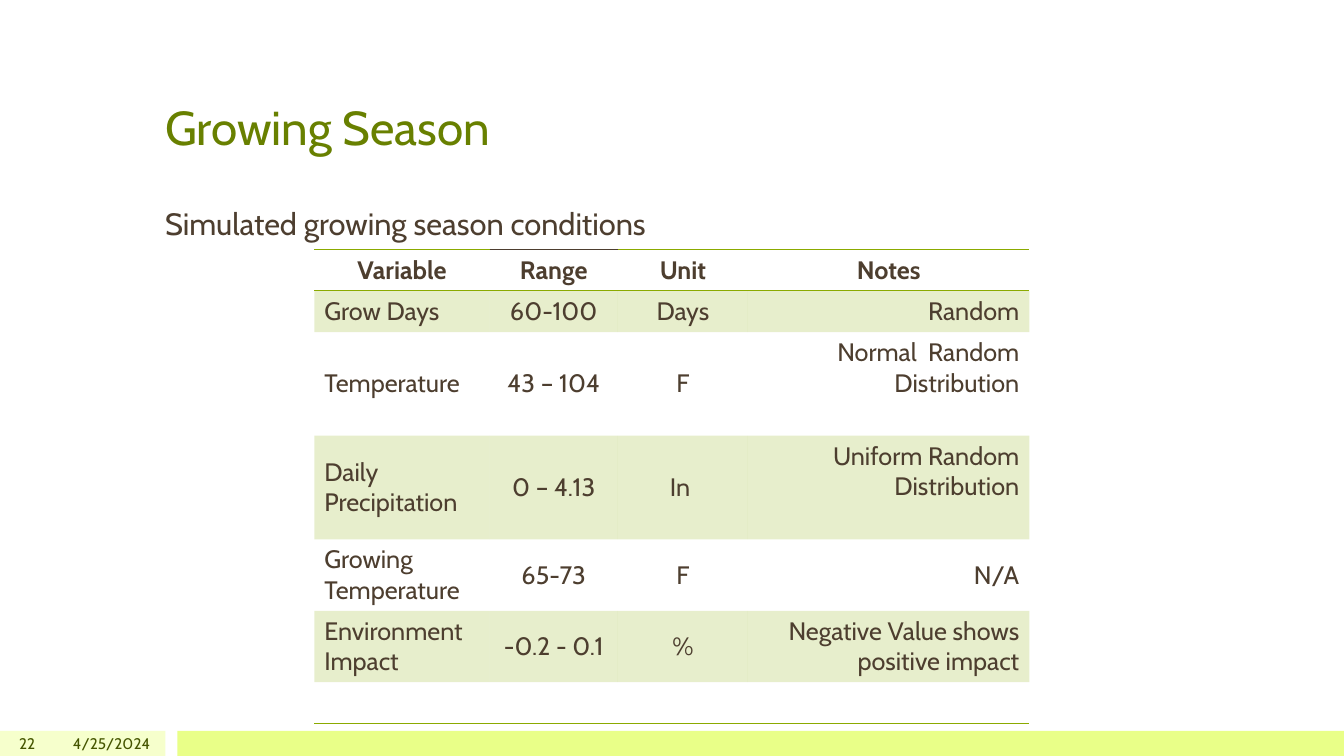
from lxml.etree import SubElement
from pptx import Presentation
from pptx.dml.color import RGBColor
from pptx.enum.shapes import MSO_SHAPE
from pptx.enum.text import MSO_ANCHOR, PP_ALIGN
from pptx.oxml.ns import qn
from pptx.util import Cm, Pt

HUES = {"title": "688000", "text": "4D3E2F", "foot": "455500",
        "pale": "F6FFCC", "lime": "E9FF88", "green": "8BAA00"}
LEFT, MID, RIGHT = PP_ALIGN.LEFT, PP_ALIGN.CENTER, PP_ALIGN.RIGHT


def style(frame, size, hue, align=LEFT, bold=False):
    for para in frame.paragraphs:
        para.alignment = align
        for run in para.runs:
            run.font.name = "Cabin"
            run.font.size = Pt(size)
            run.font.bold = bold
            run.font.color.rgb = RGBColor.from_string(HUES[hue])


def rule(cell, side, hue):
    line = SubElement(cell._tc.get_or_add_tcPr(), qn("a:" + side), w=str(Pt(1)))
    fill = SubElement(line, qn("a:solidFill"))
    SubElement(fill, qn("a:srgbClr"), val=HUES[hue])


deck = Presentation()
deck.slide_width, deck.slide_height = Cm(33.87), Cm(19.05)
slide = deck.slides.add_slide(deck.slide_layouts[6])

for left, width, hue in [(0, 4.17, "pale"), (4.47, 29.4, "lime")]:
    bar = slide.shapes.add_shape(MSO_SHAPE.RECTANGLE, Cm(left), Cm(18.42), Cm(width), Cm(0.63))
    bar.shadow.inherit = False
    bar.fill.solid()
    bar.fill.fore_color.rgb = RGBColor.from_string(HUES[hue])
    bar.line.fill.background()

TOP, CENTRE, BASE = MSO_ANCHOR.TOP, MSO_ANCHOR.MIDDLE, MSO_ANCHOR.BOTTOM
texts = [
    ("Growing Season", 3.91, 0.76, 26.04, 3.28, 34, "title", LEFT, BASE),
    ("Simulated growing season conditions", 3.91, 5.13, 26.04, 1.15, 22, "text", LEFT, TOP),
    ("22", 0, 18.42, 1.14, 0.63, 11, "foot", RIGHT, CENTRE),
    ("4/25/2024", 1.27, 18.42, 2.77, 0.63, 11, "foot", RIGHT, CENTRE),
]
for words, left, top, width, height, size, hue, align, anchor in texts:
    box = slide.shapes.add_textbox(Cm(left), Cm(top), Cm(width), Cm(height))
    frame = box.text_frame
    frame.word_wrap = True
    frame.vertical_anchor = anchor
    frame.text = words
    style(frame, size, hue, align)
    if hue == "text":
        frame.paragraphs[0].line_spacing = 0.9

rows = [
    ("Variable", "Range", "Unit", "Notes"),
    ("Grow Days", "60-100", "Days", "Random"),
    ("Temperature", "43 – 104", "F", "Normal  Random Distribution"),
    ("Daily Precipitation", "0 – 4.13", "In ", "Uniform Random Distribution"),
    ("Growing Temperature", "65-73", "F", "N/A"),
    ("Environment Impact", "-0.2 - 0.1", "%", "Negative Value shows positive impact"),
    ("", "", "", ""),
]
widths = [4.42, 3.23, 3.28, 7.09]
heights = [1.04, 1.04, 2.61, 2.61, 1.8, 1.8, 1.04]
last = len(rows) - 1

table = slide.shapes.add_table(len(rows), len(widths), Cm(7.92), Cm(6.29),
                               Cm(sum(widths)), Cm(sum(heights))).table
table.first_row = table.horz_banding = False
table._tbl.tblPr.find(qn("a:tableStyleId")).text = "{2D5ABB26-0587-4C30-8999-92F81FD0307C}"
for col, width in zip(table.columns, widths):
    col.width = Cm(width)

for r, row in enumerate(rows):
    table.rows[r].height = Cm(heights[r])
    for c, words in enumerate(row):
        cell = table.cell(r, c)
        cell.text = words
        align = MID if r == 0 else (LEFT, MID, MID, RIGHT)[c]
        style(cell.text_frame, 18, "text", align, r == 0)
        tall = c == 3 and r in (2, 3)
        cell.vertical_anchor = TOP if tall else CENTRE
        if r == 0:
            rule(cell, "lnT", "text" if c == 1 else "green")
        if r in (0, last):
            rule(cell, "lnB", "green")
        if r % 2:
            cell.fill.solid()
            cell.fill.fore_color.rgb = RGBColor.from_string(HUES["green"])
            tint = cell._tc.tcPr.find(".//" + qn("a:srgbClr"))
            SubElement(tint, qn("a:alpha"), val="20000")
        else:
            cell.fill.background()

deck.save("out.pptx")
